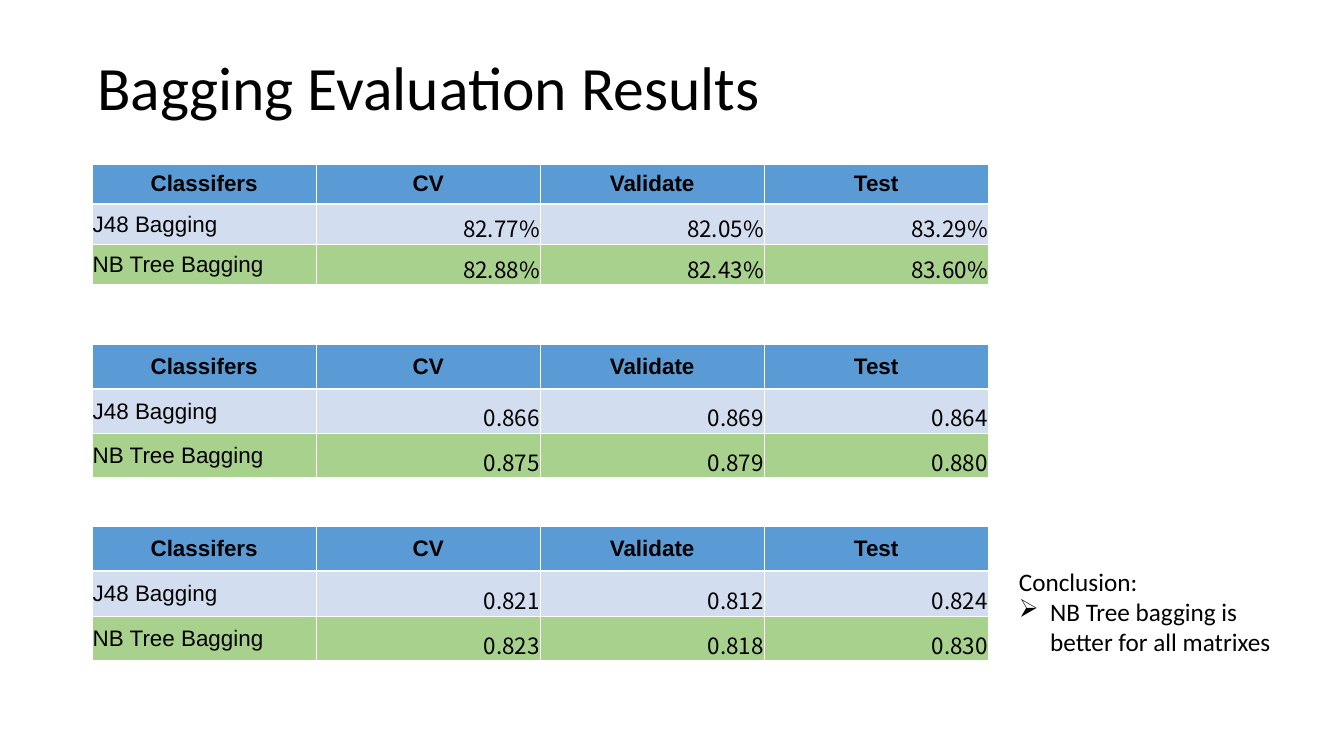
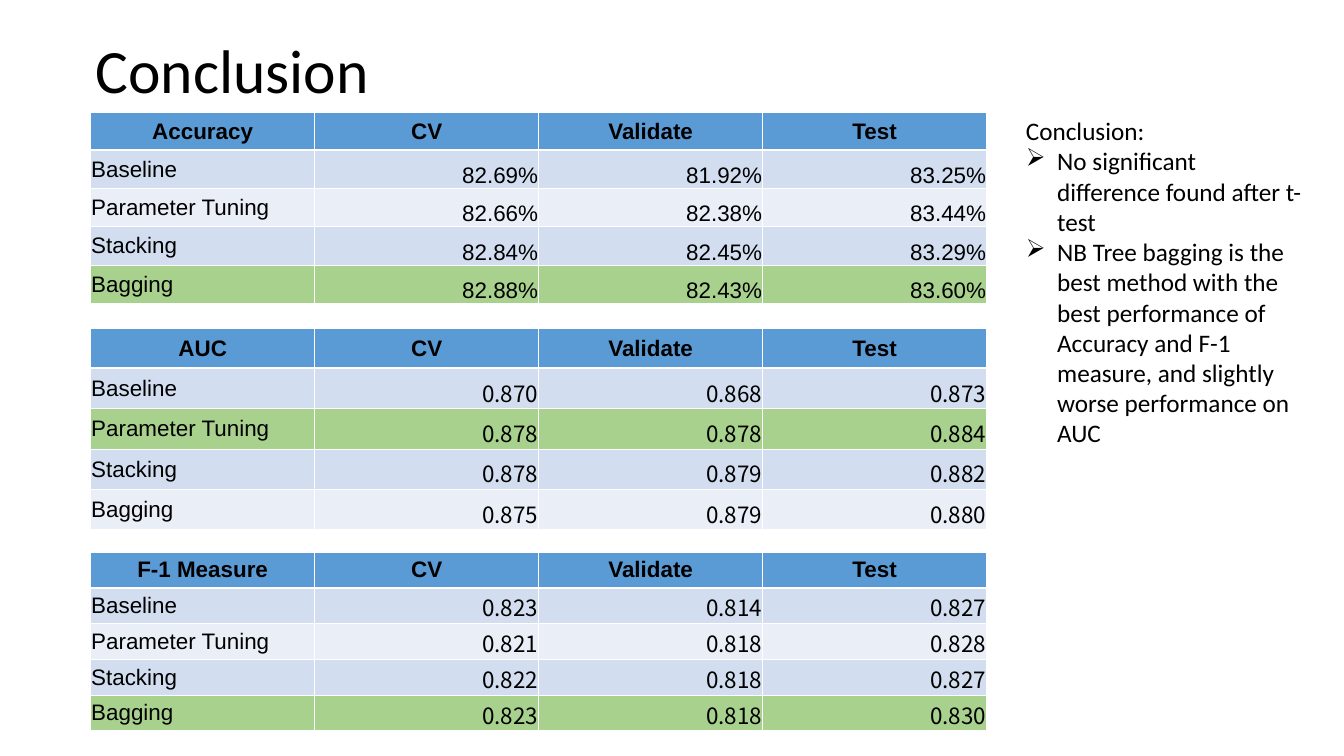
from lxml import etree
from pptx import Presentation
from pptx.dml.color import RGBColor
from pptx.enum.text import MSO_ANCHOR, MSO_AUTO_SIZE, PP_ALIGN
from pptx.oxml.ns import qn
from pptx.util import Inches, Pt

MIDDLE, BOTTOM = MSO_ANCHOR.MIDDLE, MSO_ANCHOR.BOTTOM
LEFT, CENTER, RIGHT = PP_ALIGN.LEFT, PP_ALIGN.CENTER, PP_ALIGN.RIGHT
FIT_SHAPE = MSO_AUTO_SIZE.SHAPE_TO_FIT_TEXT

COLORS = {
    "text": "000000",
    "edge": "FFFFFF",
    "header": "5B9BD5",
    "odd": "D2DEEF",
    "even": "EAEFF7",
    "best": "A9D18E",
}
TITLE = {"name": "Calibri", "size": Pt(88)}
NOTE = {"name": "Calibri", "size": Pt(36)}
HEADER = {"name": "Arial", "size": Pt(32), "bold": True}
LABEL = {"name": "Arial", "size": Pt(32), "bold": False}
NUMBER = {"name": "Noto Sans CJK SC", "size": Pt(32), "bold": False}

DATA_SETS = ["CV", "Validate", "Test"]
COLUMN_WIDTH = 17.78 / 4
THIN, THICK = 1, 3
CELL_MARGINS = {
    "margin_left": Inches(0.01),
    "margin_top": Inches(0.01),
    "margin_right": Inches(0.01),
    "margin_bottom": 0,
}
BULLET = "➢"
BULLET_INDENT = Inches(0.62)

SLIDES = [
    {
        "title": "Bagging Evaluation Results",
        "title_at": (1.83, 0.35),
        "methods": ["J48 Bagging", "NB Tree Bagging"],
        "tables": [
            {"heading": "Classifers", "top": 3.25, "row_height": 0.8,
             "best": "NB Tree Bagging", "number": NUMBER,
             "values": [("82.77%", "82.05%", "83.29%"),
                        ("82.88%", "82.43%", "83.60%")]},
            {"heading": "Classifers", "top": 6.84, "row_height": 0.88,
             "best": "NB Tree Bagging", "number": NUMBER,
             "values": [("0.866", "0.869", "0.864"),
                        ("0.875", "0.879", "0.880")]},
            {"heading": "Classifers", "top": 10.44, "row_height": 0.89,
             "best": "NB Tree Bagging", "number": NUMBER,
             "values": [("0.821", "0.812", "0.824"),
                        ("0.823", "0.818", "0.830")]},
        ],
        "note_at": (20.12, 11.18, 5.75, 1.92),
        "findings": ["NB Tree bagging is better for all matrixes"],
    },
    {
        "title": "Conclusion",
        "title_at": (1.8, 0),
        "methods": ["Baseline", "Parameter Tuning", "Stacking", "Bagging"],
        "tables": [
            {"heading": "Accuracy", "top": 2.22, "row_height": 0.76,
             "best": "Bagging", "number": LABEL,
             "values": [("82.69%", "81.92%", "83.25%"),
                        ("82.66%", "82.38%", "83.44%"),
                        ("82.84%", "82.45%", "83.29%"),
                        ("82.88%", "82.43%", "83.60%")]},
            {"heading": "AUC", "top": 6.51, "row_height": 0.8,
             "best": "Parameter Tuning", "number": NUMBER,
             "values": [("0.870", "0.868", "0.873"),
                        ("0.878", "0.878", "0.884"),
                        ("0.878", "0.879", "0.882"),
                        ("0.875", "0.879", "0.880")]},
            {"heading": "F-1 Measure", "top": 10.95, "row_height": 0.71,
             "best": "Bagging", "number": NUMBER,
             "values": [("0.823", "0.814", "0.827"),
                        ("0.821", "0.818", "0.828"),
                        ("0.822", "0.818", "0.827"),
                        ("0.823", "0.818", "0.830")]},
        ],
        "note_at": (20.26, 2.24, 5.71, 6.77),
        "findings": [
            "No significant difference found after t-test",
            "NB Tree bagging is the best method with the best performance of "
            "Accuracy and F-1 measure, and slightly worse performance on AUC",
        ],
    },
]


def set_all(target, values):
    for name, value in values.items():
        setattr(target, name, value)


def write(para, text, style):
    span = para.add_run()
    span.text = text
    set_all(span.font, style)
    span.font.color.rgb = RGBColor.from_string(COLORS["text"])


def add_box(page, left, top, width, height):
    box = page.shapes.add_textbox(*map(Inches, (left, top, width, height)))
    box.text_frame.word_wrap = True
    return box.text_frame


def add_title(page, text, left, top):
    frame = add_box(page, left, top, 23, 2.9)
    frame.vertical_anchor = MIDDLE
    frame.paragraphs[0].line_spacing = 0.9
    write(frame.paragraphs[0], text, TITLE)


def add_note(page, findings, place):
    frame = add_box(page, *place)
    frame.auto_size = FIT_SHAPE
    write(frame.paragraphs[0], "Conclusion:", NOTE)
    for finding in findings:
        para = frame.add_paragraph()
        write(para, finding, NOTE)
        properties = para._p.get_or_add_pPr()
        properties.set("marL", str(BULLET_INDENT))
        properties.set("indent", str(-BULLET_INDENT))
        etree.SubElement(properties, qn("a:buChar"), char=BULLET)


def set_borders(cell, top, bottom):
    properties = cell._tc.get_or_add_tcPr()
    edges = [("L", THIN), ("R", THIN), ("T", top), ("B", bottom)]
    for position, (side, width) in enumerate(edges):
        line = etree.Element(qn(f"a:ln{side}"), w=str(Pt(width)))
        fill = etree.SubElement(line, qn("a:solidFill"))
        etree.SubElement(fill, qn("a:srgbClr"), val=COLORS["edge"])
        properties.insert(position, line)


def fill_cell(cell, text, style, align, anchor, color):
    set_all(cell, CELL_MARGINS)
    cell.vertical_anchor = anchor
    cell.fill.solid()
    cell.fill.fore_color.rgb = RGBColor.from_string(COLORS[color])
    para = cell.text_frame.paragraphs[0]
    para.alignment = align
    write(para, text, style)


def add_results(page, left, methods, results):
    rows = [(results["heading"], *DATA_SETS)]
    rows += [(method, *values) for method, values in zip(methods, results["values"])]
    height = results["row_height"]
    columns = len(rows[0])
    table = page.shapes.add_table(
        len(rows), columns, Inches(left), Inches(results["top"]),
        Inches(COLUMN_WIDTH * columns), Inches(height * len(rows))).table
    for column in table.columns:
        column.width = Inches(COLUMN_WIDTH)
    for r, row in enumerate(rows):
        table.rows[r].height = Inches(height)
        color = "odd" if r % 2 else "even"
        if r == 0:
            color = "header"
        elif row[0] == results["best"]:
            color = "best"
        for c, text in enumerate(row):
            if r == 0:
                look = (HEADER, CENTER, MIDDLE)
            elif c == 0:
                look = (LABEL, LEFT, MIDDLE)
            else:
                look = (results["number"], RIGHT, BOTTOM)
            cell = table.cell(r, c)
            fill_cell(cell, text, *look, color)
            set_borders(cell, THICK if r == 1 else THIN, THICK if r == 0 else THIN)


def main():
    deck = Presentation()
    deck.slide_width, deck.slide_height = Inches(26.67), Inches(15)
    for content in SLIDES:
        page = deck.slides.add_slide(deck.slide_layouts[6])
        left, top = content["title_at"]
        add_title(page, content["title"], left, top)
        for results in content["tables"]:
            add_results(page, left, content["methods"], results)
        add_note(page, content["findings"], content["note_at"])
    deck.save("out.pptx")


if __name__ == "__main__":
    main()
